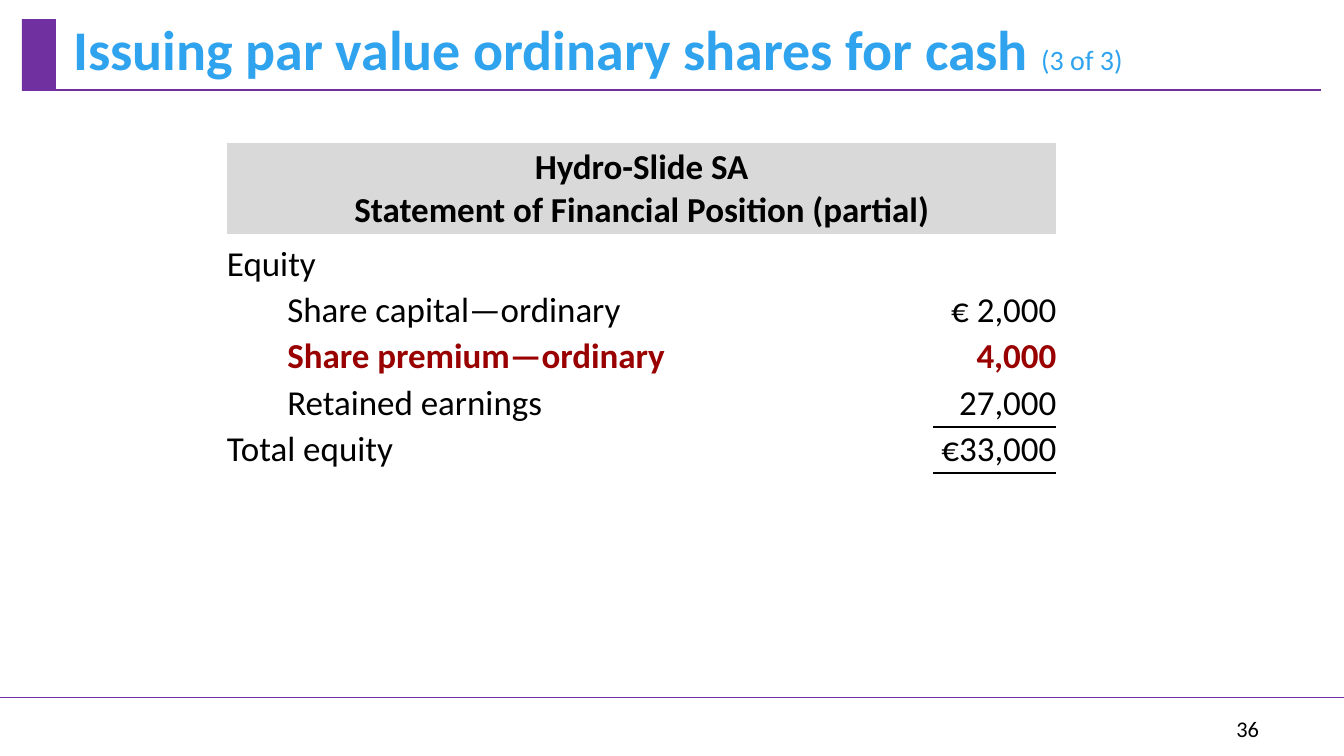
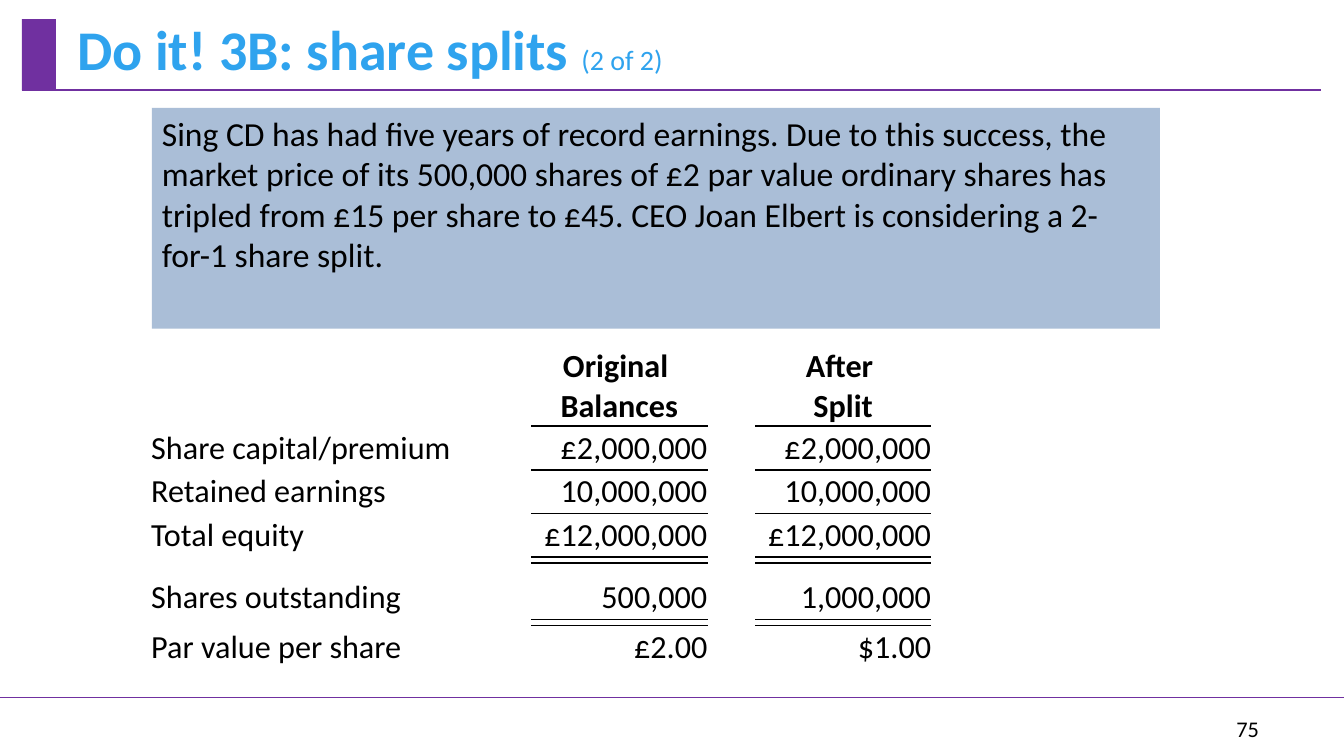
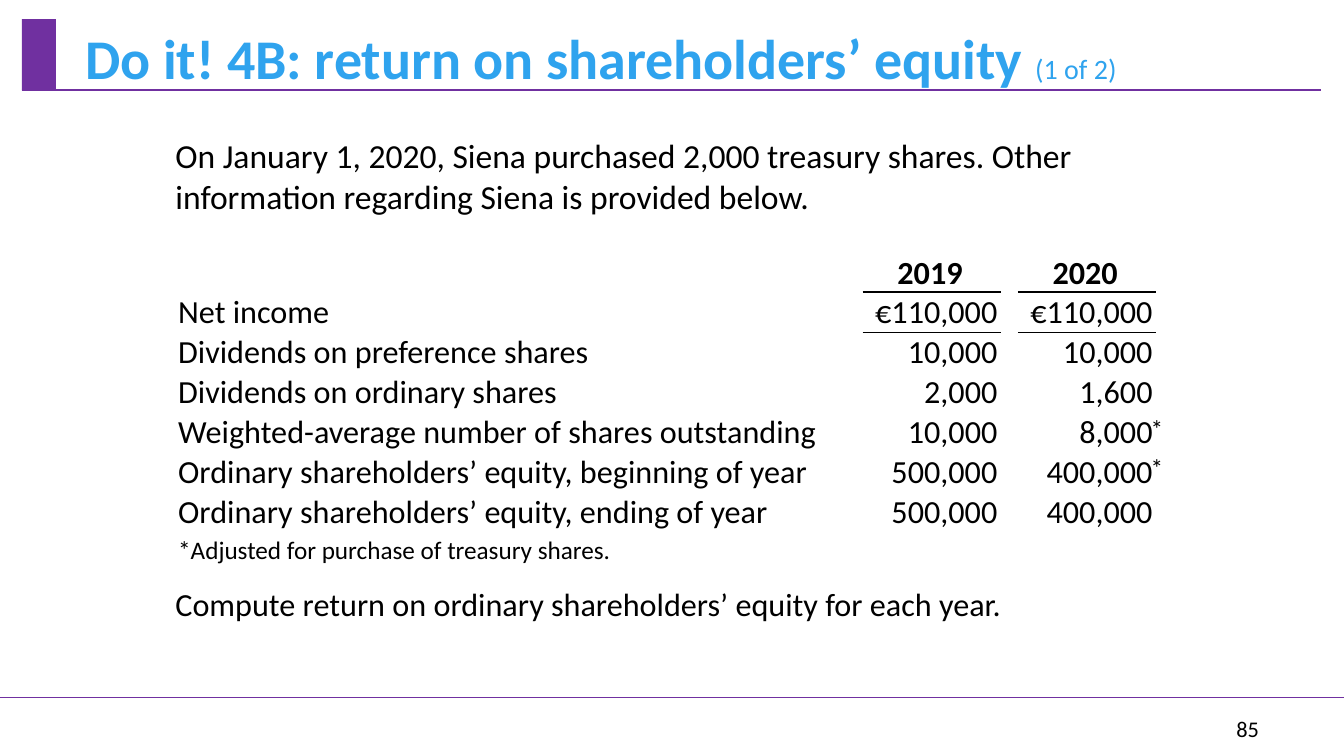
from lxml import etree
from pptx import Presentation
from pptx.dml.color import RGBColor
from pptx.enum.shapes import MSO_CONNECTOR, MSO_SHAPE
from pptx.enum.text import MSO_ANCHOR, PP_ALIGN
from pptx.oxml.ns import qn
from pptx.util import Cm, Pt

RECT, STRAIGHT = MSO_SHAPE.RECTANGLE, MSO_CONNECTOR.STRAIGHT
LEFT, CENTER, RIGHT = PP_ALIGN.LEFT, PP_ALIGN.CENTER, PP_ALIGN.RIGHT
TOP, MIDDLE, BOTTOM = MSO_ANCHOR.TOP, MSO_ANCHOR.MIDDLE, MSO_ANCHOR.BOTTOM

BLACK = RGBColor(0x00, 0x00, 0x00)
PURPLE = RGBColor(0x70, 0x30, 0xA0)
SKY = RGBColor(0x2F, 0xA3, 0xEE)
CRIMSON = RGBColor(0x99, 0x00, 0x00)
GREY = RGBColor(0xD9, 0xD9, 0xD9)
PALE_BLUE = RGBColor(0xAA, 0xBE, 0xD7)

FONT = "Calibri"
NO_STYLE = "{2D5ABB26-0587-4C30-8999-92F81FD0307C}"


def write(tf, text, size, align=LEFT, anchor=TOP, color=BLACK, bold=False, spacing=None):
    """Fill a text frame, one paragraph per line of text."""
    tf.word_wrap = True
    tf.vertical_anchor = anchor
    for i, line in enumerate(text.split("\n")):
        p = tf.paragraphs[0] if i == 0 else tf.add_paragraph()
        p.alignment, p.line_spacing = align, spacing
        r = p.add_run()
        r.text = line
        for name, value in {"name": FONT, "size": Pt(size), "bold": bold}.items():
            setattr(r.font, name, value)
        r.font.color.rgb = color


def add_grid(s, left, top, widths, heights, rows, size, label_left=0, label_right=0,
             figure_right=0, pad=0.05, ruled=(), rule_cols=(), rule_width=1.5,
             header=None, fill=None, special=None):
    """Add a table with labels left, figures right and rules under the ruled rows."""
    tb = s.shapes.add_table(len(rows), len(widths), Cm(left), Cm(top),
                            Cm(sum(widths)), Cm(sum(heights))).table
    tb.first_row = tb.horz_banding = False
    tb._tbl.tblPr.find(qn("a:tableStyleId")).text = NO_STYLE
    for column, width in zip(tb.columns, widths):
        column.width = Cm(width)
    for i, (row, height) in enumerate(zip(rows, heights)):
        tb.rows[i].height = Cm(height)
        for j, text in enumerate(row):
            cell = tb.cell(i, j)
            fmt = {"size": size, "align": RIGHT if j else LEFT}
            if i == 0 and header:
                fmt.update(header)
            fmt.update((special or {}).get(i, {}))
            indent = fmt.pop("indent", 0)
            margins = {"margin_left": 0 if j else label_left + indent,
                       "margin_right": figure_right if j else label_right,
                       "margin_top": fmt.pop("above", pad), "margin_bottom": pad}
            for name, value in margins.items():
                setattr(cell, name, Cm(value if text else 0))
            cell.vertical_anchor = BOTTOM
            if text:
                write(cell.text_frame, text, **fmt)
                cell.vertical_anchor = BOTTOM
            else:
                etree.SubElement(cell.text_frame.paragraphs[0]._p, qn("a:endParaRPr"), sz="100")
            for side, ruled_row in (("a:lnT", i - 1), ("a:lnB", i)):
                if ruled_row in ruled and j in rule_cols:
                    ln = etree.SubElement(cell._tc.get_or_add_tcPr(), qn(side),
                                          w=str(Pt(rule_width)))
                    solid = etree.SubElement(ln, qn("a:solidFill"))
                    etree.SubElement(solid, qn("a:srgbClr"), val=str(BLACK))
            if fill:
                cell.fill.solid()
                cell.fill.fore_color.rgb = fill
            else:
                cell.fill.background()


prs = Presentation()
prs.slide_width, prs.slide_height = Cm(33.87), Cm(19.05)

# Title band, rules and slide number
TITLES = [
    ("Issuing par value ordinary shares for cash ", "(3 of 3)", 1.6, 0.43, 36),
    ("Do it! 3B: share splits ", "(2 of 2)", 1.7, 0.41, 75),
    ("Do it! 4B: return on shareholders’ equity ", "(1 of 2)", 1.9, 0.64, 85),
]
for title, part, left, top, number in TITLES:
    s = prs.slides.add_slide(prs.slide_layouts[6])
    for x1, x2, y, width in ((0, 33.87, 17.57, 1), (0.55, 33.3, 2.27, 1.25)):
        rule = s.shapes.add_connector(STRAIGHT, Cm(x1), Cm(y), Cm(x2), Cm(y))
        rule.line.color.rgb, rule.line.width = PURPLE, Pt(width)
        etree.SubElement(rule._element.spPr, qn("a:effectLst"))
    band = s.shapes.add_shape(RECT, Cm(0.55), Cm(0.48), Cm(0.86), Cm(1.8))
    band.shadow.inherit = False
    band.fill.solid()
    band.fill.fore_color.rgb = PURPLE
    band.line.fill.background()

    tf = s.shapes.add_textbox(Cm(left), Cm(top), Cm(30.5), Cm(1.8)).text_frame
    write(tf, title, 40, anchor=MIDDLE, color=SKY, bold=True, spacing=0.9)
    r = tf.paragraphs[0].add_run()
    r.text = part
    for name, value in {"name": FONT, "size": Pt(20), "bold": False}.items():
        setattr(r.font, name, value)
    r.font.color.rgb = SKY

    sp = s.shapes.add_textbox(Cm(29.85), Cm(17.86), Cm(2.13), Cm(1.02))
    write(sp.text_frame, str(number), 16, align=RIGHT, anchor=MIDDLE)

position, split, returns = prs.slides

# Statement of financial position
add_grid(position, 5.72, 3.61, [20.9], [2.27],
         [["Hydro-Slide SA\nStatement of Financial Position (partial)"]], 25,
         pad=0.08, header={"align": CENTER, "bold": True}, fill=GREY)
add_grid(position, 5.72, 6.07, [16.3, 1.5, 3.1], [1.17] * 5, [
    ["Equity", "", ""],
    ["Share capital—ordinary", "", "€ 2,000"],
    ["Share premium—ordinary", "", "4,000"],
    ["Retained earnings", "", "27,000"],
    ["Total equity", "", "€33,000"],
], 25, label_right=1.78, ruled=(3, 4), rule_cols=(2,), special={
    1: {"indent": 1.52},
    2: {"indent": 1.52, "color": CRIMSON, "bold": True},
    3: {"indent": 1.52},
})

# Share split
sp = split.shapes.add_shape(RECT, Cm(3.83), Cm(2.72), Cm(25.4), Cm(5.56))
sp.shadow.inherit = False
sp.fill.solid()
sp.fill.fore_color.rgb = PALE_BLUE
sp.line.fill.background()
write(sp.text_frame, "Sing CD has had five years of record earnings. Due to this success, "
      "the market price of its 500,000 shares of £2 par value ordinary shares has tripled "
      "from £15 per share to £45. CEO Joan Elbert is considering a 2-for-1 share split.", 24)
add_grid(split, 3.81, 8.74, [9.58, 4.44, 0.6, 0.6, 4.44],
         [2, 1.1, 1.1, 1.1, 0.15, 1.42, 0.15, 1.1], [
    ["", "Original \nBalances", "", "", "After \nSplit"],
    ["Share capital/premium", "£2,000,000", "", "", "£2,000,000"],
    ["Retained earnings", "10,000,000", "", "", "10,000,000"],
    ["Total equity", "£12,000,000", "", "", "£12,000,000"],
    [""] * 5,
    ["Shares outstanding", "500,000", "", "", "1,000,000"],
    [""] * 5,
    ["Par value per share", "£2.00", "", "", "$1.00"],
], 23, label_right=0.25, ruled=(0, 2, 3, 4, 5, 6), rule_cols=(1, 4),
         header={"align": CENTER, "bold": True}, special={0: {"above": 0}, 5: {"above": 0.38}})

# Return on shareholders' equity
BODY = [
    ("On January 1, 2020, Siena purchased 2,000 treasury shares. Other information "
     "regarding Siena is provided below.", 3.28, 3.61, 24),
    ("Compute return on ordinary shareholders’ equity for each year.", 14.6, 1.47, 23),
]
for text, top, height, size in BODY:
    sp = returns.shapes.add_textbox(Cm(4.17), Cm(top), Cm(25.8), Cm(height))
    write(sp.text_frame, text, size)
add_grid(returns, 4.24, 6.38, [17.5, 3.48, 0.43, 3.48], [0.98] + [1.01] * 6 + [0.84], [
    ["", "2019", "", "2020"],
    ["Net income", "€110,000", "", "€110,000"],
    ["Dividends on preference shares", "10,000", "", "10,000"],
    ["Dividends on ordinary shares", "2,000", "", "1,600"],
    ["Weighted-average number of shares outstanding", "10,000", "", "8,000"],
    ["Ordinary shareholders’ equity, beginning of year", "500,000", "", "400,000"],
    ["Ordinary shareholders’ equity, ending of year", "500,000", "", "400,000"],
    ["*Adjusted for purchase of treasury shares.", "", "", ""],
], 23, label_left=0.25, label_right=0.25, figure_right=0.08, pad=0,
         ruled=(0,), rule_cols=(1, 3), rule_width=1,
         header={"align": CENTER, "bold": True, "spacing": 0.9}, special={7: {"size": 18}})
for top in (10.29, 11.28):
    sp = returns.shapes.add_textbox(Cm(28.75), Cm(top), Cm(0.8), Cm(1.02))
    write(sp.text_frame, "*", 18)

prs.save("out.pptx")
